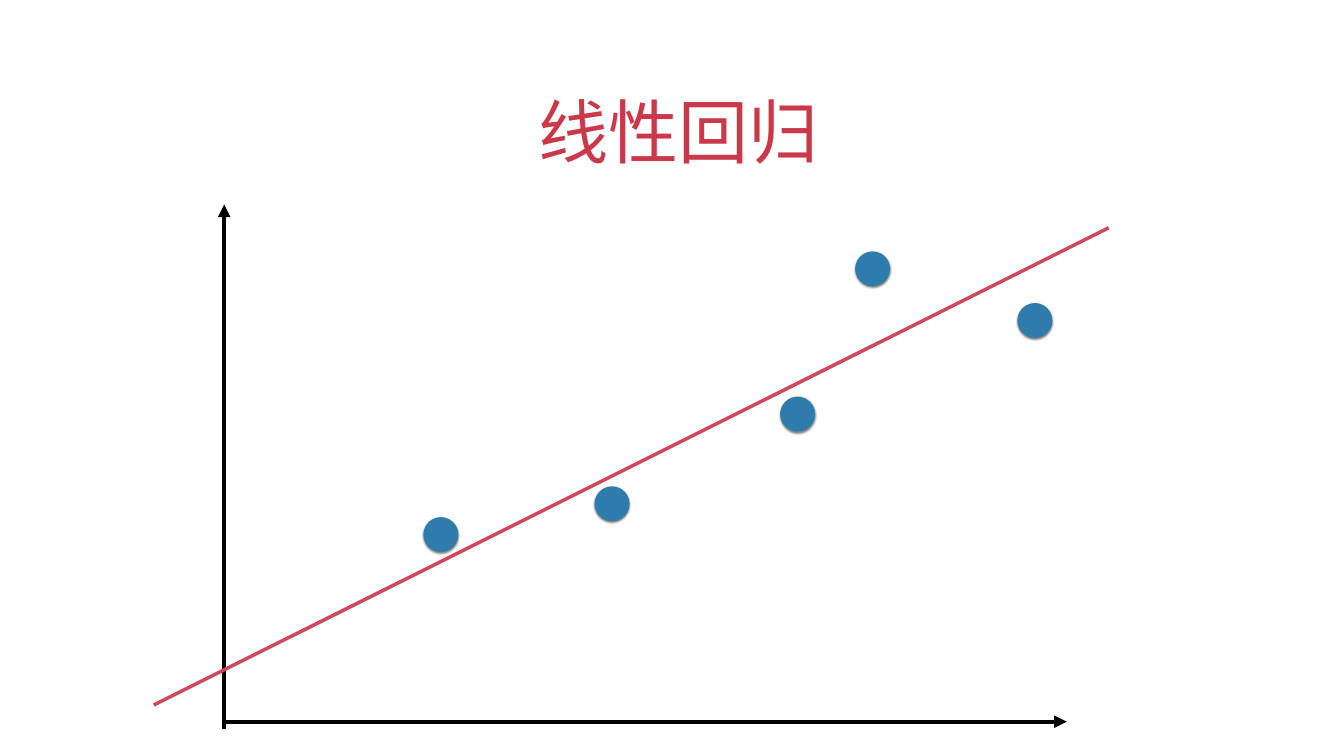
from dataclasses import dataclass

from lxml.etree import SubElement
from pptx import Presentation
from pptx.dml.color import RGBColor
from pptx.enum.shapes import MSO_CONNECTOR, MSO_SHAPE
from pptx.enum.text import MSO_ANCHOR, MSO_AUTO_SIZE, PP_ALIGN
from pptx.oxml.ns import qn
from pptx.util import Cm, Pt


@dataclass(frozen=True)
class Theme:
    """Colours, font and sizes of the slide."""
    title: RGBColor = RGBColor.from_string("C9394A")
    axis: RGBColor = RGBColor.from_string("000000")
    trend: RGBColor = RGBColor.from_string("CA495A")
    point: RGBColor = RGBColor.from_string("2E7CAC")
    font: str = "Arial"
    title_size: int = Pt(100)
    axis_width: int = Pt(6)
    trend_width: int = Pt(5)
    point_size: int = Cm(1.76)


THEME = Theme()
AXES = [(11.28, 36.37, 53.77, 36.37), (11.3, 36.73, 11.3, 10.31)]
TREND = (7.75, 35.53, 55.88, 11.48)
POINTS = [(21.34, 26.06), (29.97, 24.51), (39.32, 19.99),
          (43.1, 12.67), (51.28, 15.27)]


def set_attrs(obj, values):
    """Set every attribute named in a dict of format values."""
    for name, value in values.items():
        setattr(obj, name, value)


def set_title(s, text):
    """Place, fill and format the title placeholder."""
    sp = s.shapes.title
    set_attrs(sp, dict(left=Cm(4.93), top=Cm(3.23),
                       width=Cm(57.86), height=Cm(5.64)))
    tf = sp.text_frame
    margins = dict.fromkeys(
        ("margin_left", "margin_top", "margin_right", "margin_bottom"), Cm(0.15))
    set_attrs(tf, dict(margins, word_wrap=True, auto_size=MSO_AUTO_SIZE.NONE,
                       vertical_anchor=MSO_ANCHOR.BOTTOM))
    p = tf.paragraphs[0]
    p.alignment = PP_ALIGN.CENTER
    p._p.get_or_add_pPr().set("indent", str(Cm(0.64)))
    r = p.add_run()
    r.text = text
    set_attrs(r.font, dict(name=THEME.font, size=THEME.title_size, bold=False))
    r.font.color.rgb = THEME.title
    SubElement(r.font._element, qn("a:ea"), typeface=THEME.font)


def add_line(s, ends, color, width, arrow=False):
    """Draw a straight line, with an arrowhead at its end if asked."""
    c = s.shapes.add_connector(MSO_CONNECTOR.STRAIGHT, *map(Cm, ends))
    c.line.color.rgb = color
    c.line.width = width
    if arrow:
        SubElement(c.line._get_or_add_ln(), qn("a:tailEnd"), type="triangle")
    SubElement(c._element.spPr, qn("a:effectLst"))


def add_point(s, left, top):
    """Draw one data point with a soft shadow below it."""
    sp = s.shapes.add_shape(MSO_SHAPE.OVAL, Cm(left), Cm(top),
                            THEME.point_size, THEME.point_size)
    sp.fill.solid()
    sp.fill.fore_color.rgb = THEME.point
    sp.line.fill.background()
    sp.shadow.inherit = False
    effects = sp._element.spPr.find(qn("a:effectLst"))
    shadow = SubElement(effects, qn("a:outerShdw"), blurRad=str(Pt(3)),
                        dist=str(Pt(2)), dir="5400000", rotWithShape="0")
    color = SubElement(shadow, qn("a:srgbClr"), val="000000")
    SubElement(color, qn("a:alpha"), val="50000")


def main():
    """Build the linear regression slide."""
    prs = Presentation()
    set_attrs(prs, dict(slide_width=Cm(67.74), slide_height=Cm(38.1)))
    s = prs.slides.add_slide(prs.slide_layouts[0])
    subtitle = s.placeholders[1]._element
    subtitle.getparent().remove(subtitle)
    set_title(s, "线性回归")
    for ends in AXES:
        add_line(s, ends, THEME.axis, THEME.axis_width, arrow=True)
    for left, top in POINTS:
        add_point(s, left, top)
    add_line(s, TREND, THEME.trend, THEME.trend_width)
    prs.save("out.pptx")


if __name__ == "__main__":
    main()
